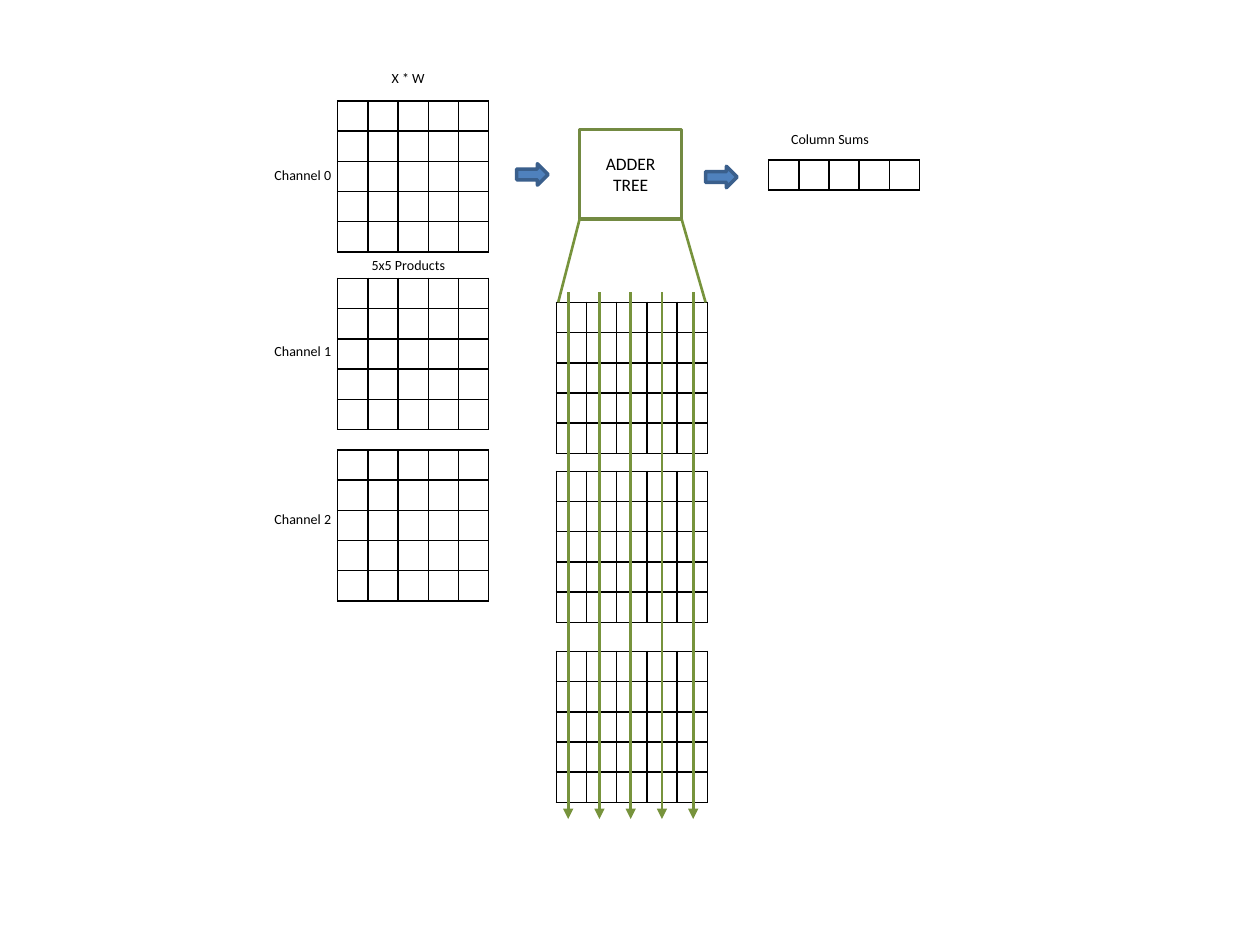
from lxml import etree
from pptx import Presentation
from pptx.dml.color import RGBColor
from pptx.enum.shapes import MSO_CONNECTOR, MSO_SHAPE
from pptx.enum.text import MSO_ANCHOR, PP_ALIGN
from pptx.oxml.ns import qn
from pptx.util import Inches, Pt

WIDTH, HEIGHT = Inches(10), Inches(7.5)
CELL = Inches(0.24)
FONT = "Calibri"
COLORS = {"ink": "000000", "paper": "FFFFFF", "box": "738A42",
          "lane": "77933C", "arrow": "4F81BD", "arrow_edge": "3A5F8C"}


def color(name):
    """Return a palette colour."""
    return RGBColor.from_string(COLORS[name])


def across(percent):
    """Turn a percentage of the slide width into a length."""
    return round(WIDTH * percent / 100)


def down(percent):
    """Turn a percentage of the slide height into a length."""
    return round(HEIGHT * percent / 100)


def area(left, top, width, height):
    """Turn a box in slide percentages into lengths."""
    return across(left), down(top), across(width), down(height)


def write(frame, text, size):
    """Put one styled run into a text frame."""
    frame.word_wrap = True
    run = frame.paragraphs[0].add_run()
    run.text = text
    run.font.name, run.font.size = FONT, Pt(size)
    run.font.color.rgb = color("ink")


def style_cell(cell, filled):
    """Make an empty cell small, with thin borders on all sides."""
    cell.margin_left = cell.margin_right = 0
    cell.margin_top = cell.margin_bottom = 0
    paragraph = cell.text_frame.paragraphs[0]
    etree.SubElement(paragraph._p, qn("a:endParaRPr"), sz="800")
    properties = cell._tc.get_or_add_tcPr()
    for side in ("lnL", "lnR", "lnT", "lnB"):
        border = etree.SubElement(properties, qn(f"a:{side}"), w=str(Pt(1)))
        fill = etree.SubElement(border, qn("a:solidFill"))
        etree.SubElement(fill, qn("a:srgbClr"), val=COLORS["ink"])
    if filled:
        cell.fill.solid()
        cell.fill.fore_color.rgb = color("paper")
    else:
        cell.fill.background()


def add_matrix(slide, left, top, rows=5, columns=5, filled=True):
    """Draw a matrix of empty square cells."""
    table = slide.shapes.add_table(rows, columns, across(left), down(top),
                                   CELL * columns, CELL * rows).table
    table.first_row = table.horz_banding = False
    for column in table.columns:
        column.width = CELL
    for row in table.rows:
        row.height = CELL
    for cell in table.iter_cells():
        style_cell(cell, filled)


def add_block(slide, preset, box, edge, fill=None):
    """Draw an outlined preset shape, filled if a colour is given."""
    shape = slide.shapes.add_shape(preset, *area(*box))
    shape.shadow.inherit = False
    shape.line.color.rgb, shape.line.width = color(edge), Pt(2)
    if fill:
        shape.fill.solid()
        shape.fill.fore_color.rgb = color(fill)
    else:
        shape.fill.background()
    return shape


def add_line(slide, start, end, arrow=False):
    """Draw a green line, with an arrowhead at its end if wanted."""
    line = slide.shapes.add_connector(
        MSO_CONNECTOR.STRAIGHT, across(start[0]), down(start[1]),
        across(end[0]), down(end[1]))
    line.line.color.rgb, line.line.width = color("lane"), Pt(1.5)
    if arrow:
        etree.SubElement(line.line._get_or_add_ln(), qn("a:tailEnd"), type="triangle")
    etree.SubElement(line._element.spPr, qn("a:effectLst"))


def add_label(slide, text, left, top, width):
    """Write a small label."""
    box = slide.shapes.add_textbox(*area(left, top, width, 3.2))
    write(box.text_frame, text, 8)


def main():
    """Build the adder tree slide."""
    deck = Presentation()
    deck.slide_width, deck.slide_height = WIDTH, HEIGHT
    slide = deck.slides.add_slide(deck.slide_layouts[6])

    for channel, (top, label_top) in enumerate(
            [(10.67, 16.93), (29.47, 35.6), (47.6, 53.33)]):
        add_matrix(slide, 26.8, top)
        add_label(slide, f"Channel {channel}", 20.8, label_top, 6.7)
    for top, filled in [(32, False), (49.87, True), (68.93, True)]:
        add_matrix(slide, 44.15, top, filled=filled)
    add_matrix(slide, 61, 16.93, rows=1, filled=False)

    adder = add_block(slide, MSO_SHAPE.RECTANGLE, (46, 13.73, 8.1, 9.47), "box")
    write(adder.text_frame, "ADDER TREE", 10)
    adder.text_frame.vertical_anchor = MSO_ANCHOR.MIDDLE
    adder.text_frame.paragraphs[0].alignment = PP_ALIGN.CENTER
    for left, top in [(41, 17.33), (56, 17.6)]:
        add_block(slide, MSO_SHAPE.RIGHT_ARROW, (left, top, 2.5, 2.27),
                  "arrow_edge", "arrow")

    for outer, inner in [(44.3, 46), (56, 54.1)]:
        add_line(slide, (outer, 32), (inner, 23.2))
    for lane in range(5):
        x = 45.1 + 2.48 * lane
        add_line(slide, (x, 30.93), (x, 86.67), arrow=True)

    add_label(slide, "X * W", 30.1, 6.67, 5.5)
    add_label(slide, "5x5 Products", 28.5, 26.53, 11.2)
    add_label(slide, "Column Sums", 61.8, 13.2, 11.2)
    deck.save("out.pptx")


main()
